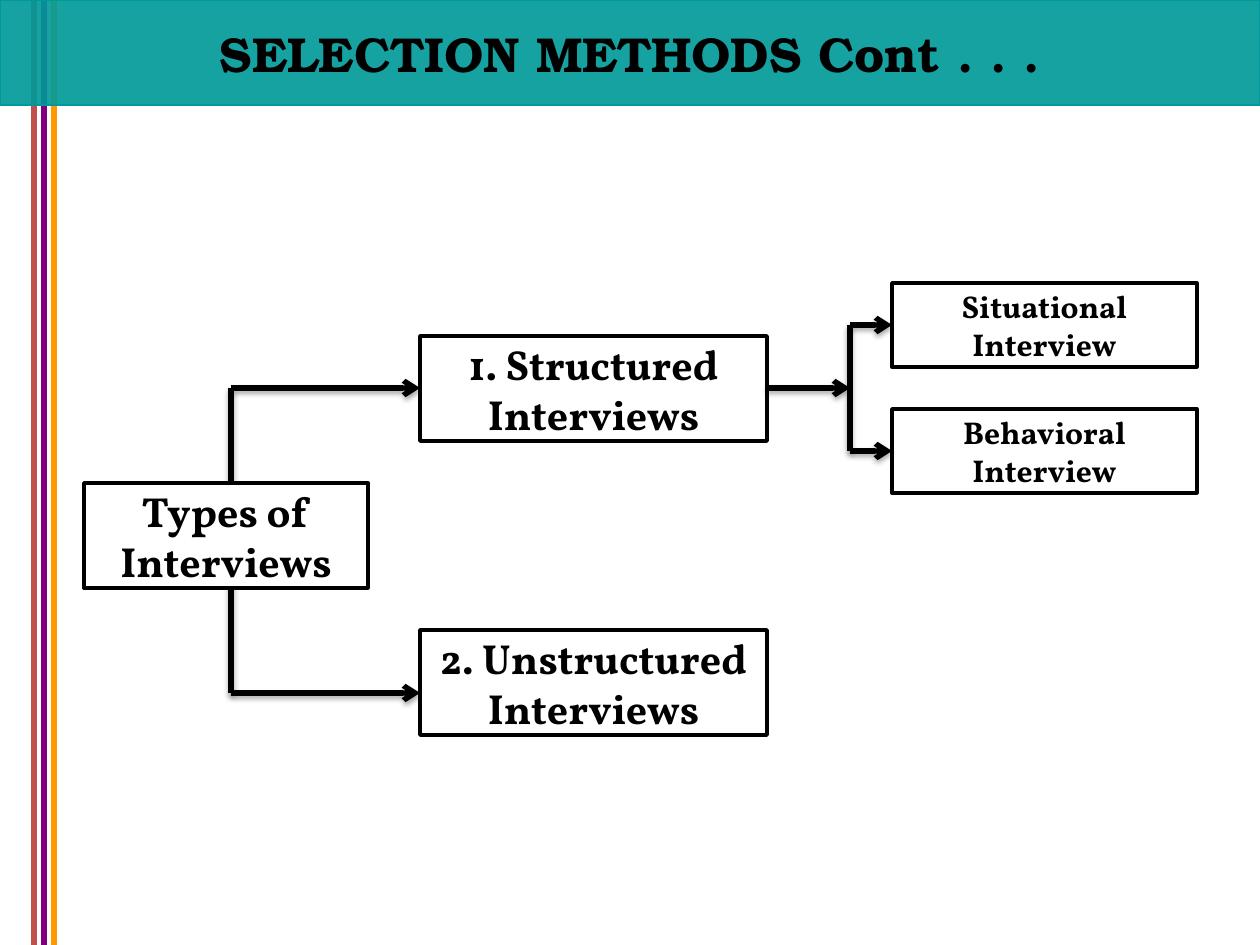
from lxml.etree import SubElement
from pptx import Presentation
from pptx.dml.color import RGBColor
from pptx.enum.shapes import MSO_CONNECTOR, MSO_SHAPE
from pptx.enum.text import MSO_ANCHOR, MSO_AUTO_SIZE, PP_ALIGN
from pptx.oxml.ns import qn
from pptx.util import Emu, Pt

PX = 914400 // 126
WIDTH, HEIGHT = 1260, 945
BLACK, WHITE, TEAL = "000000", "FFFFFF", "009999"
STRIPES = [(34, "C0504D"), (54, "FF9900"), (44, "800080")]


def px(*lengths):
    return [Emu(length * PX) for length in lengths]


def color(code):
    return RGBColor.from_string(code)


def child(parent, tag, **values):
    return SubElement(parent, qn(tag), values)


def paint(shape, fill, line, weight):
    shape.fill.solid()
    shape.fill.fore_color.rgb = color(fill)
    shape.line.color.rgb = color(line)
    shape.line.width = Pt(weight)


def write(shape, text, wrap=True, **font_format):
    frame = shape.text_frame
    frame.auto_size = MSO_AUTO_SIZE.NONE
    frame.word_wrap = wrap
    frame.vertical_anchor = MSO_ANCHOR.MIDDLE
    para = frame.paragraphs[0]
    para.alignment = PP_ALIGN.CENTER
    span = para.add_run()
    span.text = text
    span.font.color.rgb = color(BLACK)
    for name, value in {"bold": True, **font_format}.items():
        setattr(span.font, name, value)


def add_line(page, start, end, code=BLACK, arrow=False, shadow=True):
    line = page.shapes.add_connector(MSO_CONNECTOR.STRAIGHT, *px(*start, *end))
    line.line.color.rgb = color(code)
    line.line.width = Pt(3)
    properties = line.element.spPr
    if arrow:
        child(properties.find(qn("a:ln")), "a:tailEnd", type="arrow")
    effects = child(properties, "a:effectLst")
    if shadow:
        outer = child(effects, "a:outerShdw", blurRad=str(Pt(3.1)), dist=str(Pt(1.8)),
                      dir="5400000", rotWithShape="0")
        child(child(outer, "a:srgbClr", val=BLACK), "a:alpha", val="35000")


def add_stripes(page, top, bottom):
    for x, code in STRIPES:
        add_line(page, (x, top), (x, bottom), code, shadow=False)


def add_title(page, left, top, width, height):
    title = page.shapes.title
    page.shapes.element.append(title.element)  # bring the band in front of the stripes
    title.left, title.top, title.width, title.height = px(left, top, width, height)
    paint(title, TEAL, TEAL, 0.75)
    fill = title.element.spPr.find(qn("a:solidFill"))
    child(fill[0], "a:alpha", val="91000")
    write(title, "SELECTION METHODS Cont . . .", wrap=False,
          name="TeX Gyre Bonum", size=Pt(28))


def add_box(page, text, left, top, width, height, size):
    box = page.shapes.add_shape(MSO_SHAPE.RECTANGLE, *px(left, top, width, height))
    box.shadow.inherit = False
    paint(box, WHITE, BLACK, 2)
    write(box, text, name="Vollkorn", size=Pt(size))


def add_fork(page, trunk, ends, target):
    """Draw a vertical trunk with an arrow to the target from each of its ends."""
    add_line(page, (trunk, ends[0]), (trunk, ends[1]))
    for y in ends:
        add_line(page, (trunk, y), (target, y), arrow=True)


def add_interview_tree(page, left, top):
    middle, right = left + 336, left + 808
    structured = top + 105
    add_fork(page, left + 147, (structured, top + 410), middle)
    add_box(page, "Types of Interviews", left, top + 200, 284, 105, 24)
    for row, text in enumerate(["1. Structured Interviews", "2. Unstructured Interviews"]):
        add_box(page, text, middle, top + 53 + 294 * row, 347, 105, 24)

    branch = right - 42
    add_line(page, (middle + 347, structured), (branch, structured), arrow=True)
    for row, text in enumerate(["Situational Interview", "Behavioral Interview"]):
        add_box(page, text, right, top + 126 * row, 305, 84, 18)
    add_fork(page, branch, (top + 42, top + 168), right)


def main():
    deck = Presentation()
    deck.slide_width, deck.slide_height = px(WIDTH, HEIGHT)
    page = deck.slides.add_slide(deck.slide_layouts.get_by_name("Title Only"))
    add_stripes(page, 0, HEIGHT)
    add_title(page, 0, 0, WIDTH, 105)
    add_interview_tree(page, 84, 283)
    deck.save("out.pptx")


if __name__ == "__main__":
    main()
